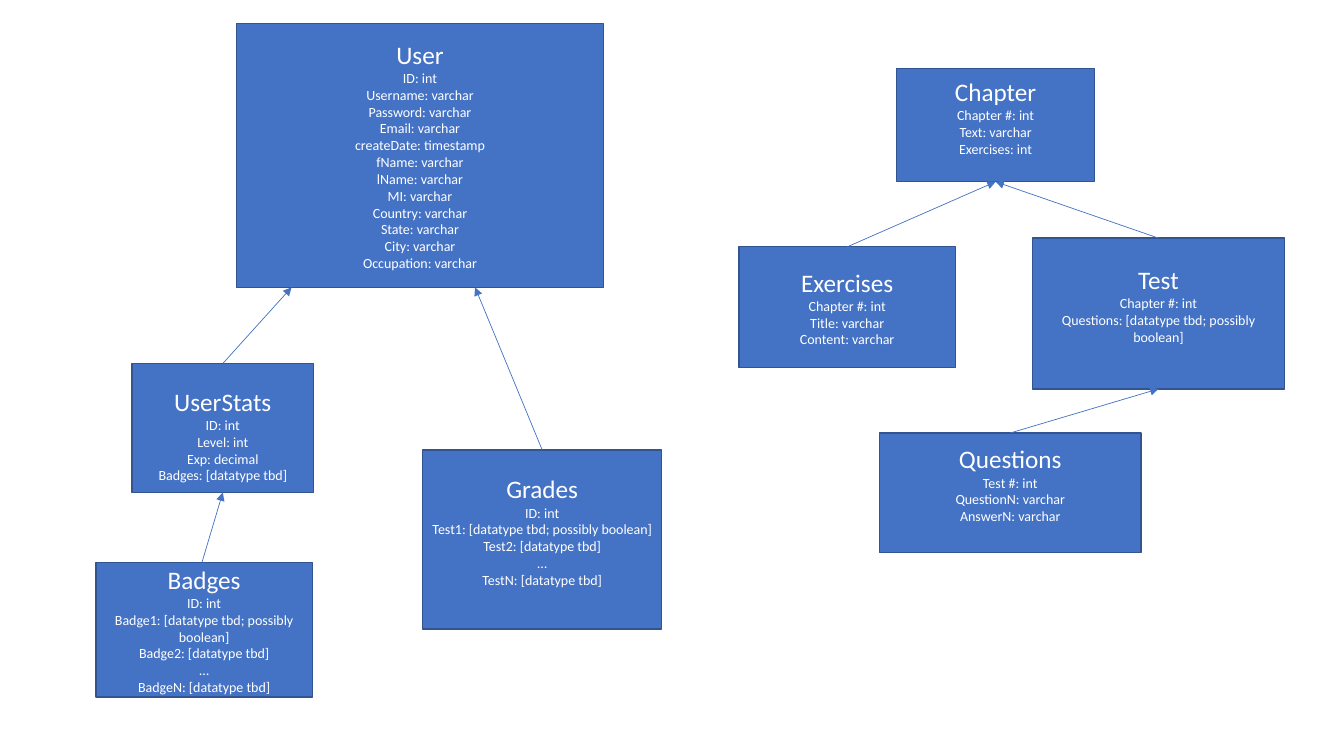
from dataclasses import dataclass

from lxml.etree import SubElement
from pptx import Presentation
from pptx.dml.color import RGBColor
from pptx.enum.shapes import MSO_CONNECTOR, MSO_SHAPE
from pptx.enum.text import MSO_ANCHOR, PP_ALIGN
from pptx.oxml.ns import qn
from pptx.shapes.autoshape import Shape
from pptx.slide import Slide
from pptx.text.text import TextFrame
from pptx.util import Cm, Pt


@dataclass(frozen=True)
class Theme:
    fill: RGBColor = RGBColor(0x44, 0x72, 0xC4)
    edge: RGBColor = RGBColor(0x32, 0x54, 0x91)
    ink: RGBColor = RGBColor(0xFF, 0xFF, 0xFF)
    font: str = "Calibri"
    head: int = 18
    body: int = 10
    rim: float = 1
    wire: float = 0.5


@dataclass(frozen=True)
class Table:
    name: str
    left: float
    top: float
    width: float
    height: float
    fields: tuple[str, ...]
    above: float = 0
    below: float = 0


@dataclass(frozen=True)
class Link:
    child: str
    parent: str
    start: float = 0.5
    end: float = 0.5


THEME = Theme()
SIDE, EDGE = 0.23, 0.13
DROP, LIFT = 0.35, 0.43

TABLES = (
    Table("User", 5.96, 0.59, 9.25, 6.65, (
        "ID: int", "Username: varchar", "Password: varchar", "Email: varchar",
        "createDate: timestamp", "fName: varchar", "lName: varchar",
        "MI: varchar", "Country: varchar", "State: varchar", "City: varchar",
        "Occupation: varchar")),
    Table("UserStats", 3.33, 9.16, 4.57, 3.25, (
        "ID: int", "Level: int", "Exp: decimal", "Badges: [datatype tbd]"),
        above=DROP),
    Table("Chapter", 22.6, 1.73, 4.98, 2.85, (
        "Chapter #: int", "Text: varchar", "Exercises: int"), below=LIFT),
    Table("Badges", 2.42, 14.17, 5.45, 3.4, (
        "ID: int", "Badge1: [datatype tbd; possibly boolean]",
        "Badge2: [datatype tbd]", "…", "BadgeN: [datatype tbd]")),
    Table("Exercises", 18.62, 6.22, 5.46, 3.05, (
        "Chapter #: int", "Title: varchar", "Content: varchar")),
    Table("Grades", 10.65, 11.34, 6.03, 4.51, (
        "ID: int", "Test1: [datatype tbd; possibly boolean]",
        "Test2: [datatype tbd]", "…", "TestN: [datatype tbd]"), below=LIFT),
    Table("Test", 26.02, 6, 6.35, 3.8, (
        "Chapter #: int", "Questions: [datatype tbd; possibly boolean]"),
        below=LIFT),
    Table("Questions", 22.16, 10.91, 6.6, 3.01, (
        "Test #: int", "QuestionN: varchar", "AnswerN: varchar"), below=LIFT),
)

LINKS = (
    Link("UserStats", "User", end=0.15),
    Link("Badges", "UserStats", start=0.49),
    Link("Grades", "User", end=0.65),
    Link("Exercises", "Chapter"),
    Link("Test", "Chapter"),
    Link("Questions", "Test"),
)


def write(frame: TextFrame, text: str, *, size: int, first: bool = False,
          color: RGBColor = THEME.ink, align: PP_ALIGN = PP_ALIGN.CENTER) -> None:
    para = frame.paragraphs[0] if first else frame.add_paragraph()
    para.alignment = align
    run = para.add_run()
    run.text = text
    run.font.name = THEME.font
    run.font.size = Pt(size)
    run.font.color.rgb = color


def draw_table(slide: Slide, table: Table) -> Shape:
    box = slide.shapes.add_shape(
        MSO_SHAPE.RECTANGLE, Cm(table.left), Cm(table.top),
        Cm(table.width), Cm(table.height))
    box.shadow.inherit = False
    box.fill.solid()
    box.fill.fore_color.rgb = THEME.fill
    box.line.color.rgb = THEME.edge
    box.line.width = Pt(THEME.rim)
    frame = box.text_frame
    frame.word_wrap = True
    frame.vertical_anchor = MSO_ANCHOR.MIDDLE
    frame.margin_left = frame.margin_right = Cm(SIDE)
    frame.margin_top = Cm(EDGE + table.above)
    frame.margin_bottom = Cm(EDGE + table.below)
    write(frame, table.name, size=THEME.head, first=True)
    for field in table.fields:
        write(frame, field, size=THEME.body)
    return box


def draw_link(slide: Slide, link: Link, boxes: dict[str, Shape]) -> None:
    child, parent = boxes[link.child], boxes[link.parent]
    wire = slide.shapes.add_connector(
        MSO_CONNECTOR.STRAIGHT,
        child.left + int(child.width * link.start), child.top,
        parent.left + int(parent.width * link.end),
        parent.top + parent.height)
    if link.start == 0.5:
        wire.begin_connect(child, 0)
    if link.end == 0.5:
        wire.end_connect(parent, 2)
    wire.line.color.rgb = THEME.fill
    wire.line.width = Pt(THEME.wire)
    props = wire.element.spPr
    SubElement(props.find(qn("a:ln")), qn("a:tailEnd"), type="triangle")
    SubElement(props, qn("a:effectLst"))


def main() -> None:
    deck = Presentation()
    deck.slide_width, deck.slide_height = Cm(33.87), Cm(19.05)
    slide = deck.slides.add_slide(deck.slide_layouts[6])
    boxes = {table.name: draw_table(slide, table) for table in TABLES}
    for link in LINKS:
        draw_link(slide, link, boxes)
    deck.save("out.pptx")


main()
